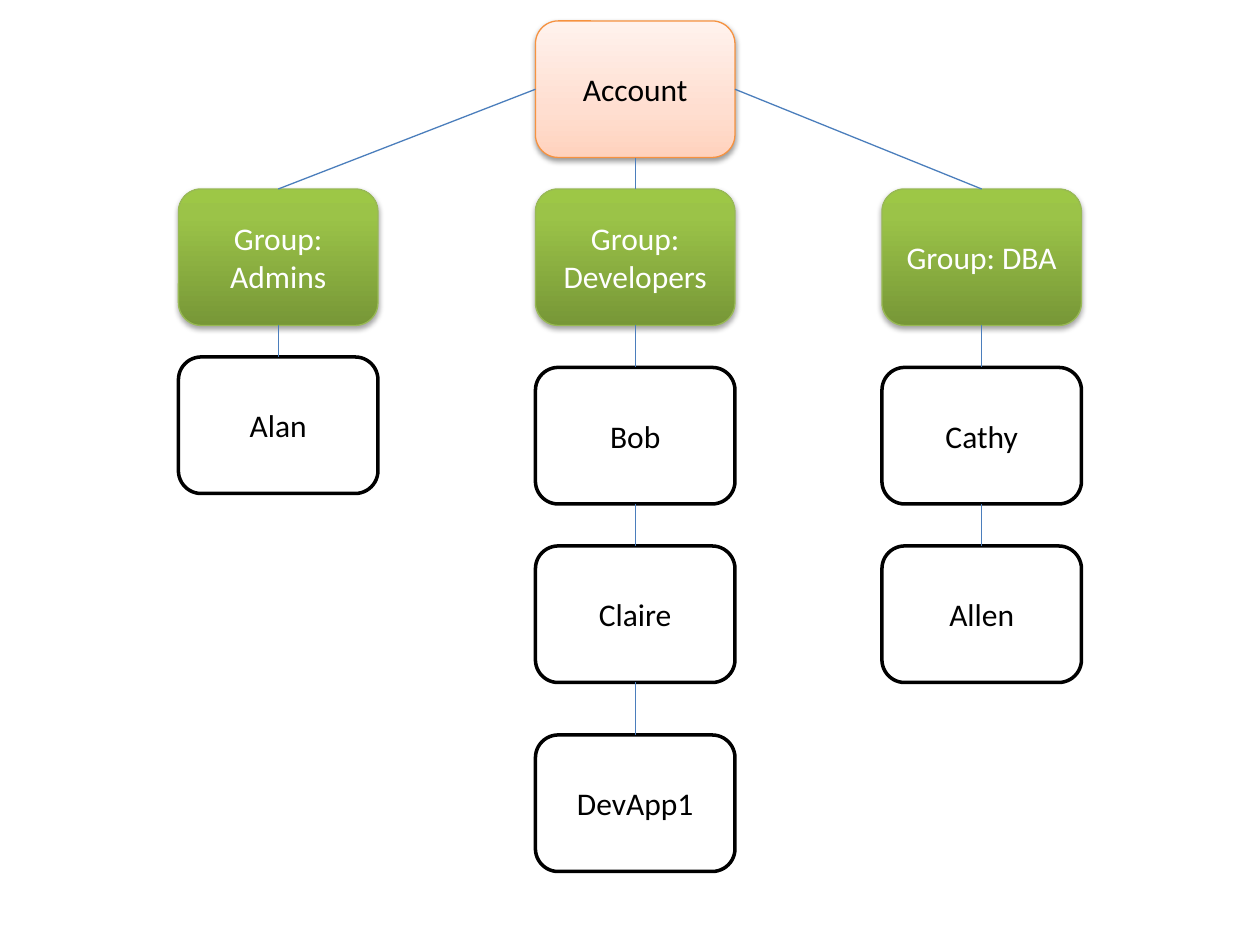
"""Build a one-slide account tree: groups below the account, users below their groups."""
from dataclasses import dataclass
from typing import Optional

from lxml import etree
from pptx import Presentation
from pptx import util as u
from pptx.dml.color import RGBColor
from pptx.enum import shapes, text
from pptx.oxml.ns import qn

UNIT = u.Inches(1 / 12)
BOX_WIDTH, BOX_HEIGHT = 19, 13
LEFT, CENTRE, RIGHT = 17, 51, 84
TOP, SIDE_LEFT, BOTTOM, SIDE_RIGHT = range(4)


@dataclass(frozen=True)
class Style:
    """Look of one kind of box; stops are (percent, colour) from the bottom up."""
    stops: tuple
    line: str
    weight: float
    font: str
    shadow: Optional[tuple] = None


@dataclass(frozen=True)
class Node:
    """A box at a grid column and row, joined to a side of its parent."""
    label: str
    column: int
    row: int
    style: Style
    parent: Optional[str] = None
    parent_side: int = BOTTOM


ACCOUNT = Style(((0, "FFD2BD"), (35, "FFDED0"), (100, "FFF2ED")),
                "F69240", 0.75, "000000", (38, 3.1, 1.6))
GROUP = Style(((0, "779737"), (80, "9BC348"), (100, "9DC746")),
              "98B955", 0.75, "FFFFFF", (35, 3.1, 1.8))
USER = Style(((0, "FFFFFF"),), "000000", 2, "000000")

NODES = (
    Node("Account", CENTRE, 2, ACCOUNT),
    Node("Group: DBA", RIGHT, 18, GROUP, "Account", SIDE_RIGHT),
    Node("Group: Developers", CENTRE, 18, GROUP, "Account"),
    Node("Group: Admins", LEFT, 18, GROUP, "Account", SIDE_LEFT),
    Node("Alan", LEFT, 34, USER, "Group: Admins"),
    Node("Bob", CENTRE, 35, USER, "Group: Developers"),
    Node("Claire", CENTRE, 52, USER, "Bob"),
    Node("DevApp1", CENTRE, 70, USER, "Claire"),
    Node("Cathy", RIGHT, 35, USER, "Group: DBA"),
    Node("Allen", RIGHT, 52, USER, "Cathy"),
)


def colour(value: str) -> RGBColor:
    """Turn a hex string into a colour."""
    return RGBColor.from_string(value)


def add_colour(parent, value: str):
    """Append a colour element to an XML parent and return it."""
    return etree.SubElement(parent, qn("a:srgbClr"), val=value)


def fill_box(box, stops: tuple) -> None:
    """Fill a box with one colour or a vertical gradient."""
    if len(stops) == 1:
        box.fill.solid()
        box.fill.fore_color.rgb = colour(stops[0][1])
        return
    box.fill.gradient()
    box.fill.gradient_angle = 90
    stop_list = box._element.spPr.find(".//" + qn("a:gsLst"))
    for old in list(stop_list):
        stop_list.remove(old)
    for percent, value in stops:
        add_colour(etree.SubElement(stop_list, qn("a:gs"), pos=str(percent * 1000)), value)


def shade_box(box, shadow: Optional[tuple]) -> None:
    """Replace the theme shadow by a downward one, or by none."""
    box.shadow.inherit = False
    if shadow:
        opacity, blur, distance = shadow
        outer = etree.SubElement(
            box._element.spPr.find(qn("a:effectLst")), qn("a:outerShdw"),
            blurRad=str(u.Pt(blur)), dist=str(u.Pt(distance)), dir="5400000", rotWithShape="0")
        etree.SubElement(add_colour(outer, "000000"), qn("a:alpha"), val=str(opacity * 1000))


def add_box(page, node: Node):
    """Draw one labelled rounded box."""
    box = page.shapes.add_shape(
        shapes.MSO_SHAPE.ROUNDED_RECTANGLE, node.column * UNIT, node.row * UNIT,
        BOX_WIDTH * UNIT, BOX_HEIGHT * UNIT)
    fill_box(box, node.style.stops)
    box.line.color.rgb = colour(node.style.line)
    box.line.width = u.Pt(node.style.weight)
    shade_box(box, node.style.shadow)
    frame = box.text_frame
    frame.text = node.label
    frame.word_wrap = True
    frame.vertical_anchor = text.MSO_ANCHOR.MIDDLE
    para = frame.paragraphs[0]
    para.alignment = text.PP_ALIGN.CENTER
    font = para.runs[0].font
    font.name, font.size = "Calibri", u.Pt(18)
    font.color.rgb = colour(node.style.font)
    return box


def join(page, parent, side: int, child) -> None:
    """Draw a line from a side of the parent to the top of the child."""
    link = page.shapes.add_connector(
        shapes.MSO_CONNECTOR.STRAIGHT, parent.left, parent.top, child.left, child.top)
    link.begin_connect(parent, side)
    link.end_connect(child, TOP)
    link.line.color.rgb = colour("4B7EBC")
    link.line.width = u.Pt(0.75)
    etree.SubElement(link._element.spPr, qn("a:effectLst"))


def main() -> None:
    """Build and save the deck."""
    deck = Presentation()
    deck.slide_width, deck.slide_height = u.Inches(10), u.Inches(7.5)
    page = deck.slides.add_slide(deck.slide_layouts[6])
    boxes = {node.label: add_box(page, node) for node in NODES}
    for node in NODES:
        if node.parent:
            join(page, boxes[node.parent], node.parent_side, boxes[node.label])
    deck.save("out.pptx")


if __name__ == "__main__":
    main()
